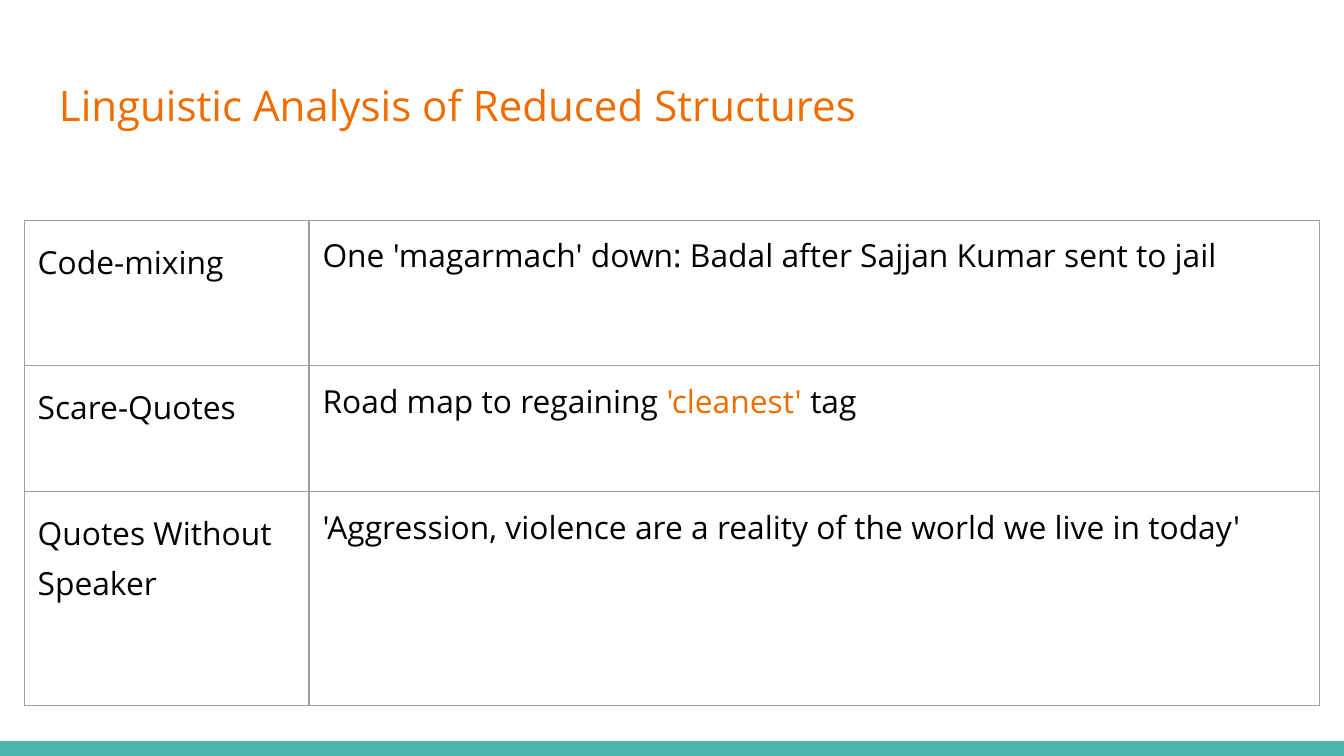
from lxml.etree import SubElement
from pptx import Presentation
from pptx.dml.color import RGBColor
from pptx.enum.shapes import MSO_SHAPE as Shape
from pptx.enum.text import MSO_ANCHOR as Anchor
from pptx.oxml.ns import qn
from pptx.util import Inches, Pt

ORANGE = RGBColor(0xEF, 0x6C, 0x00)
TEAL = RGBColor(0x4D, 0xB6, 0xAC)
GRAY = RGBColor(0x9E, 0x9E, 0x9E)
BLACK = RGBColor(0, 0, 0)
FONT = "Open Sans"
MARGIN = Inches(0.1)
SLIDE_WIDTH = Inches(10)
SLIDE_HEIGHT = SLIDE_WIDTH * 9 // 16
COLUMN_WIDTHS = [2.12, 7.52]
ROW_HEIGHTS = [1.08, 0.94, 1.59]
EXAMPLES = [
    ("Code-mixing",
     [("One 'magarmach' down: Badal after Sajjan Kumar sent to jail", BLACK)]),
    ("Scare-Quotes",
     [("Road map to regaining", BLACK), (" 'cleanest' ", ORANGE), ("tag", BLACK)]),
    ("Quotes Without Speaker",
     [("'Aggression, violence are a reality of the world we live in today'", BLACK)]),
]


def write_spans(para, spans, size):
    """Fill a paragraph with coloured spans of one size."""
    para.font.name = FONT
    para.font.size = Pt(size)
    for text, color in spans:
        span = para.add_run()
        span.text = text
        span.font.name = FONT
        span.font.size = Pt(size)
        span.font.color.rgb = color


def set_margins(target):
    """Give a cell or text frame equal margins on all sides."""
    target.margin_left = target.margin_right = MARGIN
    target.margin_top = target.margin_bottom = MARGIN


def add_footer_band(page):
    """Draw the teal band along the bottom edge."""
    height = Inches(0.11)
    band = page.shapes.add_shape(
        Shape.RECTANGLE, 0, SLIDE_HEIGHT - height, SLIDE_WIDTH, height)
    band.shadow.inherit = False
    band.fill.solid()
    band.fill.fore_color.rgb = TEAL
    band.line.fill.background()


def add_title(page, text):
    """Add the slide heading."""
    box = page.shapes.add_textbox(
        Inches(0.34), Inches(0.49), Inches(9.32), Inches(0.77))
    frame = box.text_frame
    frame.word_wrap = True
    frame.vertical_anchor = Anchor.TOP
    set_margins(frame)
    write_spans(frame.paragraphs[0], [(text, ORANGE)], 22.5)


def add_borders(cell):
    """Outline a cell with thin gray lines."""
    properties = cell._tc.get_or_add_tcPr()
    for position, side in enumerate(("a:lnL", "a:lnR", "a:lnT", "a:lnB")):
        line = SubElement(properties, qn(side), w=str(Pt(0.75)))
        fill = SubElement(line, qn("a:solidFill"))
        SubElement(fill, qn("a:srgbClr"), val=str(GRAY))
        properties.insert(position, line)


def fill_cell(cell, spans):
    """Style a cell, write its spans and return its paragraph."""
    set_margins(cell)
    cell.vertical_anchor = Anchor.TOP
    cell.fill.background()
    add_borders(cell)
    para = cell.text_frame.paragraphs[0]
    write_spans(para, spans, 17)
    return para


def add_example_table(page):
    """Add the table of structures and their examples."""
    frame = page.shapes.add_table(
        len(ROW_HEIGHTS), len(COLUMN_WIDTHS), Inches(0.18), Inches(1.64),
        Inches(sum(COLUMN_WIDTHS)), Inches(sum(ROW_HEIGHTS)))
    table = frame.table
    table.first_row = table.horz_banding = False
    for column, width in zip(table.columns, COLUMN_WIDTHS):
        column.width = Inches(width)
    for row, height, (label, spans) in zip(table.rows, ROW_HEIGHTS, EXAMPLES):
        row.height = Inches(height)
        label_para = fill_cell(row.cells[0], [(label, BLACK)])
        label_para.line_spacing = 1.15
        label_para.space_after = Pt(16)
        fill_cell(row.cells[1], spans)


def main():
    """Build the slide and save the deck."""
    deck = Presentation()
    deck.slide_width = SLIDE_WIDTH
    deck.slide_height = SLIDE_HEIGHT
    page = deck.slides.add_slide(deck.slide_layouts[6])
    add_footer_band(page)
    add_title(page, "Linguistic Analysis of Reduced Structures")
    add_example_table(page)
    deck.save("out.pptx")


if __name__ == "__main__":
    main()
